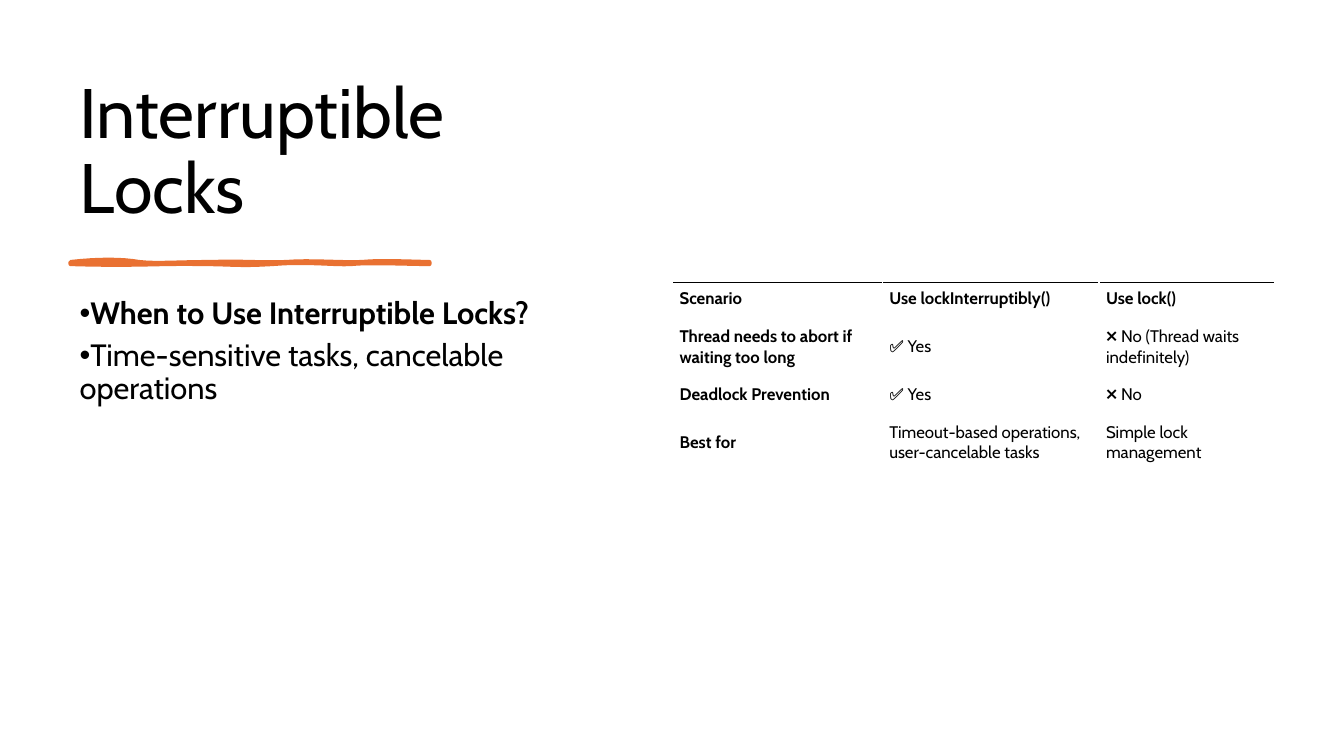
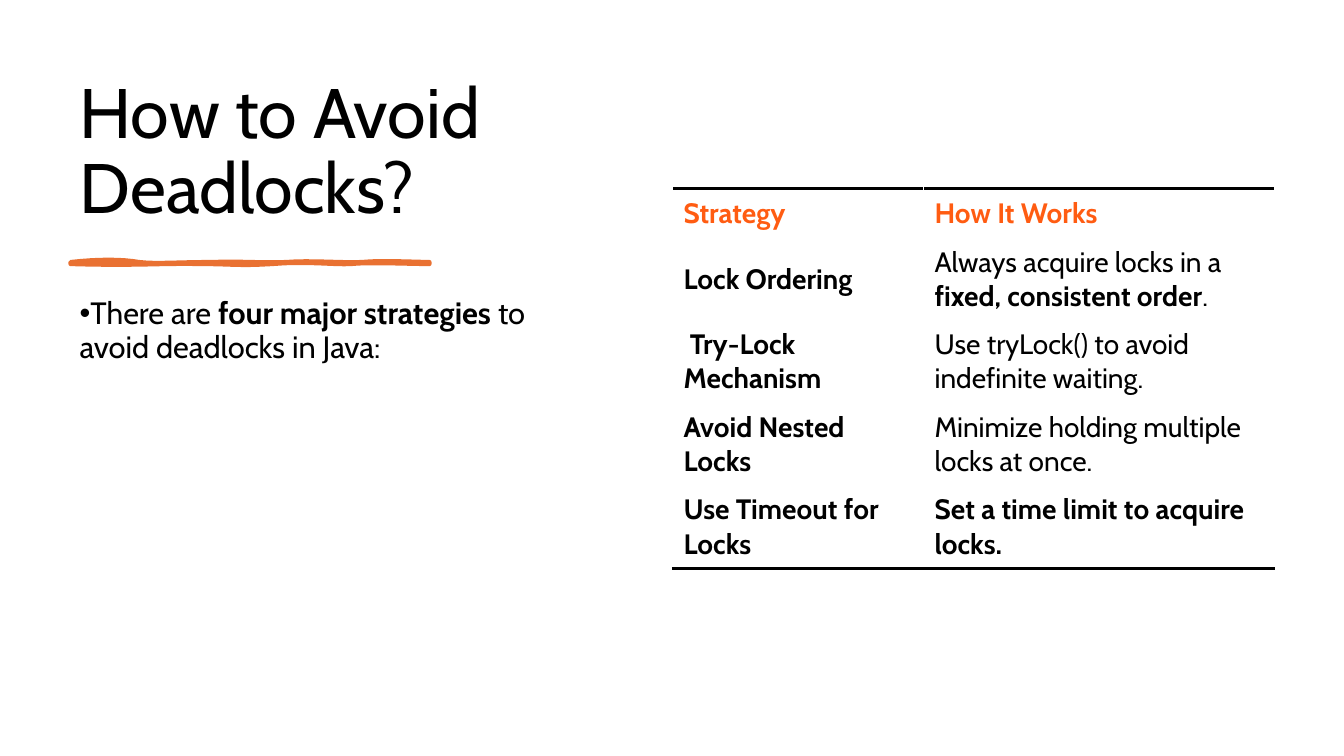
import dataclasses

import pptx
import pptx.dml.color
import pptx.enum.text
import pptx.oxml
import pptx.oxml.ns
import pptx.util

Inches = pptx.util.Inches
Pt = pptx.util.Pt


@dataclasses.dataclass(frozen=True)
class Theme:
    font: str = "Cabin"
    ink: str = "000000"
    paper: str = "FFFFFF"
    stroke: str = "E97132"
    head: str = "FF5C12"
    title: int = 50
    body: int = 22
    line: int = 3


THEME = Theme()

# Words between asterisks are bold.
SLIDES = [
    {
        "title": "Interruptible Locks",
        "points": [
            "*When to Use Interruptible Locks?*",
            "Time-sensitive tasks, cancelable operations",
        ],
        "table": {
            "top": 2.8, "cols": [2.08, 2.15, 1.74], "rows": [0.38, 0.57, 0.38, 0.57],
            "size": 12, "head": THEME.ink, "inset": (0.07, 0.05, 0.05, 0.1),
            "rules": {"top": 1},
            "cells": [
                ["*Scenario*", "*Use lockInterruptibly()*", "*Use lock()*"],
                ["*Thread needs to abort if waiting too long*", "✅ Yes",
                 "❌ No (Thread waits indefinitely)"],
                ["*Deadlock Prevention*", "✅ Yes", "❌ No"],
                ["*Best for*", "Timeout-based operations, user-cancelable tasks",
                 "Simple lock management"],
            ],
        },
    },
    {
        "title": "How to Avoid Deadlocks?",
        "points": ["There are *four major strategies* to avoid deadlocks in Java:"],
        "table": {
            "top": 1.87, "cols": [2.49, 3.48], "rows": [0.49] + [0.82] * 4,
            "size": 20, "head": THEME.head, "inset": (0.11, 0.06, 0.11, 0.06),
            "rules": {"top": 2, "bottom": 2},
            "cells": [
                ["*Strategy*", "*How It Works*"],
                ["*Lock Ordering*", "Always acquire locks in a *fixed, consistent order*."],
                ["* Try-Lock Mechanism*", "Use tryLock() to avoid indefinite waiting."],
                ["*Avoid Nested Locks*", "Minimize holding multiple locks at once."],
                ["*Use Timeout for Locks*", "*Set a time limit to acquire locks.*"],
            ],
        },
    },
]

TITLE_BOX = (0.69, 0.7, 5.27, 1.62)
BODY_BOX = (0.69, 2.91, 5.27, 3.88)
TABLE_LEFT = 6.67

# Brush stroke: a start point, then curves as two handles and an end point.
START = (0.7, 2.6)
CURVES = [
    ((0.97, 2.57), (1.21, 2.57), (1.38, 2.6)),
    ((1.55, 2.62), (1.77, 2.6), (2.09, 2.6)),
    ((2.41, 2.59), (2.6, 2.61), (2.84, 2.6)),
    ((3.08, 2.58), (3.39, 2.61), (3.59, 2.6)),
    ((3.79, 2.58), (4.12, 2.6), (4.26, 2.6)),
    ((4.26, 2.6), (4.26, 2.61), (4.26, 2.62)),
    ((4.08, 2.62), (3.64, 2.6), (3.48, 2.62)),
    ((3.32, 2.63), (3.04, 2.59), (2.7, 2.62)),
    ((2.35, 2.64), (2.31, 2.62), (1.99, 2.62)),
    ((1.66, 2.61), (1.32, 2.64), (0.7, 2.62)),
]
STEPS = 8


def rgb(code):
    return pptx.dml.color.RGBColor.from_string(code)


def place(shape, box):
    shape.left, shape.top, shape.width, shape.height = map(Inches, box)


def write(para, text, size, color=THEME.ink):
    """Fill a paragraph, with starred words in bold."""
    para.font.name = THEME.font
    para.font.size = Pt(size)
    para.font.color.rgb = rgb(color)
    for i, part in enumerate(text.split("*")):
        if part:
            run = para.add_run()
            run.text = part
            run.font.bold = i % 2 == 1


def add_title(slide, text):
    title = slide.shapes.title
    place(title, TITLE_BOX)
    frame = title.text_frame
    frame.vertical_anchor = pptx.enum.text.MSO_ANCHOR.BOTTOM
    para = frame.paragraphs[0]
    para.alignment = pptx.enum.text.PP_ALIGN.LEFT
    para.line_spacing = 0.9
    write(para, text, THEME.title)


def add_points(slide, points):
    body = slide.placeholders[1]
    place(body, BODY_BOX)
    frame = body.text_frame
    for i, text in enumerate(points):
        para = frame.add_paragraph() if i else frame.paragraphs[0]
        para.line_spacing = 0.9
        para.space_before = Pt(0)
        para.space_after = Pt(6)
        write(para, text, THEME.body)
        props = para._p.get_or_add_pPr()
        props.set("marL", "0")
        props.set("indent", str(Inches(-0.25)))


def trace():
    """Points along the curves of the brush stroke."""
    start = START
    for curve in CURVES:
        a, b, c, d = start, *curve
        for step in range(1, STEPS + 1):
            t = step / STEPS
            u = 1 - t
            yield tuple(
                Inches(u**3 * a[k] + 3 * u * u * t * b[k] + 3 * u * t * t * c[k] + t**3 * d[k])
                for k in (0, 1)
            )
        start = d


def add_stroke(slide):
    pen = slide.shapes.build_freeform(*map(Inches, START))
    pen.add_line_segments(list(trace()), close=True)
    shape = pen.convert_to_shape()
    shape.shadow.inherit = False
    shape.fill.solid()
    shape.fill.fore_color.rgb = rgb(THEME.stroke)
    shape.line.color.rgb = rgb(THEME.stroke)
    shape.line.width = Pt(THEME.line)
    # Rounded joins keep the stroke's ends soft.
    shape.line._get_or_add_ln().append(
        pptx.oxml.parse_xml(f"<a:round {pptx.oxml.ns.nsdecls('a')}/>"))


def rule(cell, side, width):
    tag = {"top": "lnT", "bottom": "lnB"}[side]
    cell._tc.get_or_add_tcPr().insert(0, pptx.oxml.parse_xml(
        f'<a:{tag} {pptx.oxml.ns.nsdecls("a")} w="{Pt(width)}"><a:solidFill>'
        f'<a:srgbClr val="{THEME.ink}"/></a:solidFill></a:{tag}>'))


def add_grid(slide, data):
    cols, rows = data["cols"], data["rows"]
    box = map(Inches, (TABLE_LEFT, data["top"], sum(cols), sum(rows)))
    table = slide.shapes.add_table(len(rows), len(cols), *box).table
    table.first_row = table.horz_banding = False
    for col, width in zip(table.columns, cols):
        col.width = Inches(width)
    for row, height in zip(table.rows, rows):
        row.height = Inches(height)
    edges = {"top": 0, "bottom": len(rows) - 1}
    for r, texts in enumerate(data["cells"]):
        for c, text in enumerate(texts):
            cell = table.cell(r, c)
            cell.fill.solid()
            cell.fill.fore_color.rgb = rgb(THEME.paper)
            cell.vertical_anchor = pptx.enum.text.MSO_ANCHOR.MIDDLE
            (cell.margin_left, cell.margin_top,
             cell.margin_right, cell.margin_bottom) = map(Inches, data["inset"])
            color = THEME.ink if r else data["head"]
            write(cell.text_frame.paragraphs[0], text, data["size"], color)
            for side, width in data["rules"].items():
                if r == edges[side]:
                    rule(cell, side, width)


def main():
    deck = pptx.Presentation()
    deck.slide_width, deck.slide_height = Inches(13.33), Inches(7.5)
    for data in SLIDES:
        slide = deck.slides.add_slide(deck.slide_layouts[1])
        add_title(slide, data["title"])
        add_stroke(slide)
        add_points(slide, data["points"])
        add_grid(slide, data["table"])
    deck.save("out.pptx")


if __name__ == "__main__":
    main()
